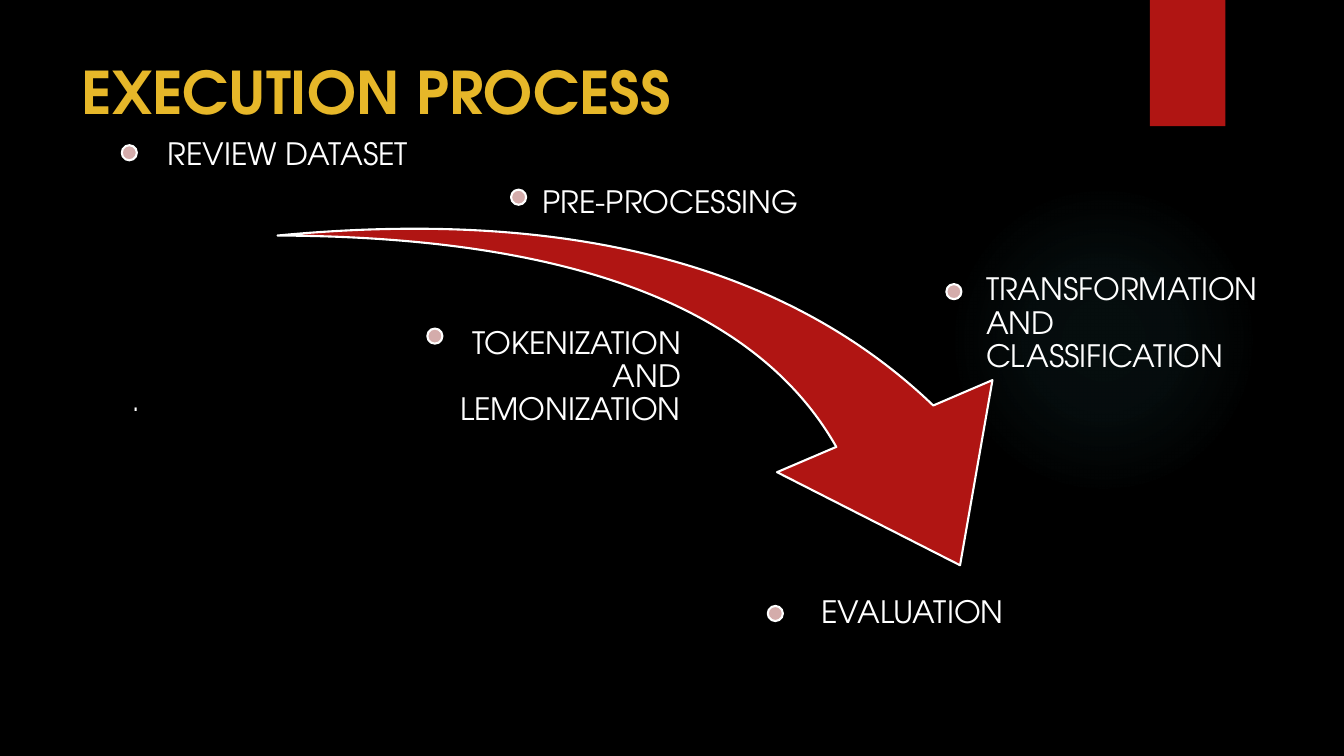
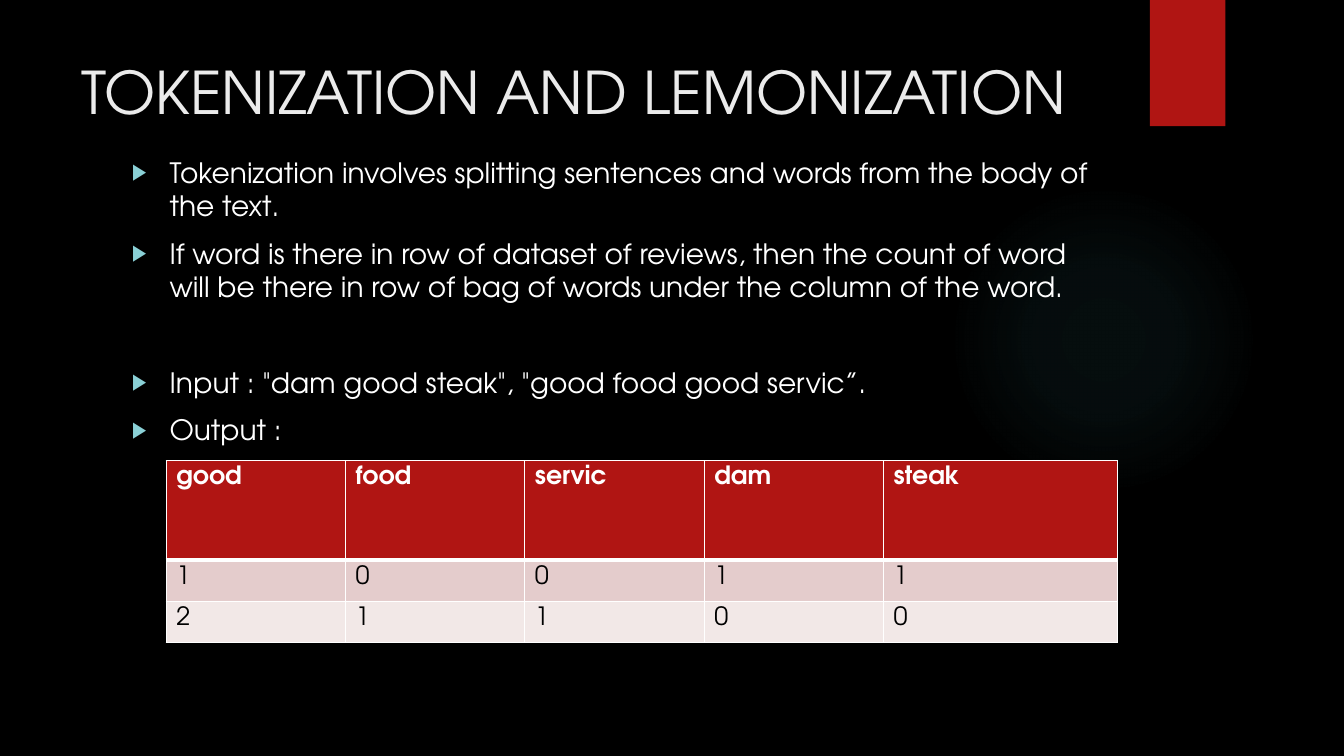
"""Build two slides on review processing: the execution flow and tokenization."""
from dataclasses import dataclass

from lxml.etree import SubElement
from pptx import Presentation
from pptx.dml.color import RGBColor
from pptx.enum.shapes import MSO_SHAPE as Preset
from pptx.enum.text import MSO_ANCHOR as Anchor, MSO_AUTO_SIZE as AutoSize, PP_ALIGN as Align
from pptx.oxml import parse_xml
from pptx.oxml.ns import nsdecls, qn
from pptx.util import Cm, Pt


@dataclass(frozen=True)
class Theme:
    """Colours, font and type sizes of the deck."""
    font: str = "TeX Gyre Adventor"
    background: str = "000000"
    accent: str = "B01513"
    glow: str = "50B9C1"
    gold: str = "E6B729"
    title: str = "EBEBEB"
    text: str = "FFFFFF"
    dot: str = "D4ACAB"
    bullet: str = "8AD0D6"
    cell_text: str = "000000"
    rows: tuple = ("E4CCCC", "F2E8E7")
    title_size: int = 42
    label_size: int = 22
    body_size: int = 20
    table_size: int = 18
    outline: float = 1.5


THEME = Theme()


def rgb(value):
    """Return the colour object for a hex string."""
    return RGBColor.from_string(value)


def place(shape, left, top, width, height):
    """Move and size a shape, in centimetres."""
    shape.left, shape.top, shape.width, shape.height = map(Cm, (left, top, width, height))


def add_run(paragraph, text, size, color=THEME.text, bold=False):
    """Add one formatted run to a paragraph."""
    run = paragraph.add_run()
    run.text = text
    font = run.font
    font.name, font.size, font.bold = THEME.font, Pt(size), bold
    font.color.rgb = rgb(color)


def add_filled(slide, preset, box, color, outlined=False):
    """Add a flat preset shape, with a light outline on request."""
    shape = slide.shapes.add_shape(preset, *map(Cm, box))
    shape.shadow.inherit = False
    shape.fill.solid()
    shape.fill.fore_color.rgb = rgb(color)
    if outlined:
        shape.line.color.rgb = rgb(THEME.text)
        shape.line.width = Pt(THEME.outline)
    else:
        shape.line.fill.background()
    return shape


def fill_glow(shape):
    """Give a shape a soft radial gradient that fades out."""
    stops = "".join(
        f'<a:gs pos="{position}000"><a:srgbClr val="{THEME.glow}">'
        f'<a:alpha val="{alpha}000"/></a:srgbClr></a:gs>'
        for position, alpha in ((0, 7), (36, 6), (69, 0)))
    gradient = parse_xml(
        f'<a:gradFill {nsdecls("a")} rotWithShape="1"><a:gsLst>{stops}</a:gsLst>'
        '<a:path path="circle"><a:fillToRect l="50000" t="50000" r="50000" b="50000"/>'
        '</a:path></a:gradFill>')
    properties = shape.element.spPr
    properties.replace(properties.find(qn("a:solidFill")), gradient)


def decorate_layout(slide):
    """Put the shared background, glow and band on the layout of a slide."""
    layout = slide.slide_layout
    layout.background.fill.solid()
    layout.background.fill.fore_color.rgb = rgb(THEME.background)
    glow = add_filled(slide, Preset.OVAL, (23.9, 4.65, 7.82, 7.82), THEME.glow)
    fill_glow(glow)
    band = add_filled(slide, Preset.RECTANGLE, (28.98, 0, 1.9, 3.18), THEME.accent)
    for index, shape in enumerate((glow, band), start=2):
        layout.shapes.element.insert(index, shape.element)


def prepare_frame(frame, anchor=Anchor.TOP):
    """Set wrapping, fixed size and anchor of a text frame."""
    frame.word_wrap = True
    frame.auto_size = AutoSize.NONE
    frame.vertical_anchor = anchor


def write_title(slide, text, color=THEME.title, bold=False):
    """Place and write the slide title."""
    title = slide.shapes.title
    place(title, 1.8, 1.27, 26.14, 3.89)
    prepare_frame(title.text_frame)
    paragraph = title.text_frame.paragraphs[0]
    paragraph.alignment = Align.LEFT
    add_run(paragraph, text, THEME.title_size, color, bold)


def set_bullet(paragraph, shown):
    """Give a paragraph a coloured triangle bullet, or none."""
    properties = paragraph._p.get_or_add_pPr()
    indent = Cm(0.95) if shown else 0
    properties.set("marL", str(indent))
    properties.set("indent", str(-indent))
    if shown:
        color = SubElement(properties, qn("a:buClr"))
        SubElement(color, qn("a:srgbClr"), val=THEME.bullet)
        SubElement(properties, qn("a:buSzPct"), val="80000")
        SubElement(properties, qn("a:buChar"), char="▶")
    else:
        SubElement(properties, qn("a:buNone"))


def write_body(slide, top, height, items, bulleted=True):
    """Write the body list from pairs of text and space before."""
    body = slide.placeholders[1]
    place(body, 3.07, top, 24.84, height)
    frame = body.text_frame
    prepare_frame(frame)
    for index, (text, space) in enumerate(items):
        paragraph = frame.add_paragraph() if index else frame.paragraphs[0]
        paragraph.space_before = Pt(space)
        set_bullet(paragraph, bulleted)
        add_run(paragraph, text, THEME.body_size)


def add_label(slide, text, box, align=Align.LEFT, anchor=Anchor.MIDDLE):
    """Add the caption of one process step."""
    frame = slide.shapes.add_textbox(*map(Cm, box)).text_frame
    prepare_frame(frame, anchor)
    frame.margin_left = frame.margin_right = Cm(0.08)
    frame.margin_top = frame.margin_bottom = Cm(0.08)
    paragraph = frame.paragraphs[0]
    paragraph.alignment = align
    paragraph.line_spacing = 0.9
    add_run(paragraph, text, THEME.label_size)


def set_borders(cell, top, bottom):
    """Draw the four borders of a cell, widths in points."""
    properties = cell._tc.get_or_add_tcPr()
    for side, width in (("L", 1), ("R", 1), ("T", top), ("B", bottom)):
        line = SubElement(properties, qn(f"a:ln{side}"), w=str(Pt(width)))
        fill = SubElement(line, qn("a:solidFill"))
        SubElement(fill, qn("a:srgbClr"), val=THEME.text)


def add_word_table(slide, rows, left, top, widths, heights):
    """Add a table with a red header and tinted rows."""
    table = slide.shapes.add_table(
        len(rows), len(widths), Cm(left), Cm(top), Cm(sum(widths)), Cm(sum(heights))).table
    table.horz_banding = False
    for column, width in zip(table.columns, widths):
        column.width = Cm(width)
    for index, (values, height) in enumerate(zip(rows, heights)):
        header = index == 0
        table.rows[index].height = Cm(height)
        color = THEME.accent if header else THEME.rows[(index - 1) % 2]
        for column, value in enumerate(values):
            cell = table.cell(index, column)
            set_borders(cell, 3 if index == 1 else 1, 3 if header else 1)
            cell.fill.solid()
            cell.fill.fore_color.rgb = rgb(color)
            add_run(cell.text_frame.paragraphs[0], value, THEME.table_size,
                    THEME.text if header else THEME.cell_text, header)


def build_process(slide):
    """Build the slide with the steps around a curved arrow."""
    write_title(slide, "EXECUTION PROCESS", THEME.gold, True)
    write_body(slide, 9.53, 7.82, [(".", 10)], bulleted=False)
    arrow = add_filled(slide, Preset.SWOOSH_ARROW, (10.16, 1.68, 12.9, 16.21),
                       THEME.accent, True)
    arrow.rotation = 73.3
    arrow.adjustments[0], arrow.adjustments[1] = 0.163, 0.314
    steps = (
        ("REVIEW DATASET", (3.07, 3.66), (3.99, 2.64, 6.53, 1.78), Align.CENTER, Anchor.BOTTOM),
        ("PRE-PROCESSING", (12.88, 4.78), (13.59, 3.78, 10.49, 2.72), Align.LEFT, Anchor.MIDDLE),
        ("TOKENIZATION AND LEMONIZATION", (10.77, 8.28), (11.07, 8.15, 6.17, 2.72),
         Align.RIGHT, Anchor.MIDDLE),
        ("TRANSFORMATION AND CLASSIFICATION", (23.85, 7.16), (24.77, 6.81, 7.32, 2.72),
         Align.LEFT, Anchor.MIDDLE),
        ("EVALUATION", (19.35, 15.27), (16, 14.1, 9.37, 2.72), Align.RIGHT, Anchor.MIDDLE),
    )
    for text, dot, box, align, anchor in steps:
        add_filled(slide, Preset.OVAL, (*dot, 0.38, 0.38), THEME.dot, True)
        add_label(slide, text, box, align, anchor)


def build_tokenization(slide):
    """Build the slide with the explanation and the word counts."""
    write_title(slide, "TOKENIZATION AND LEMONIZATION")
    write_body(slide, 3.78, 13.56, [
        ("Tokenization involves splitting sentences and words from the body of the text.", 10),
        ("If word is there in row of dataset of reviews, then the count of word will be "
         "there in row of bag of words under the column of the word.", 10),
        ('Input : "dam good steak", "good food good servic”.', 44),
        ("Output :", 10),
    ])
    rows = (("good", "food", "servic", "dam", "steak"), "10011", "21100")
    add_word_table(slide, rows, 4.19, 11.61, [4.52] * 4 + [5.89], [2.51, 1.04, 1.04])


def main():
    """Create the presentation and save it."""
    presentation = Presentation()
    presentation.slide_width, presentation.slide_height = Cm(33.87), Cm(19.05)
    layout = presentation.slide_layouts[1]
    process, tokenization = (presentation.slides.add_slide(layout) for _ in range(2))
    decorate_layout(process)
    build_process(process)
    build_tokenization(tokenization)
    presentation.save("out.pptx")


main()
